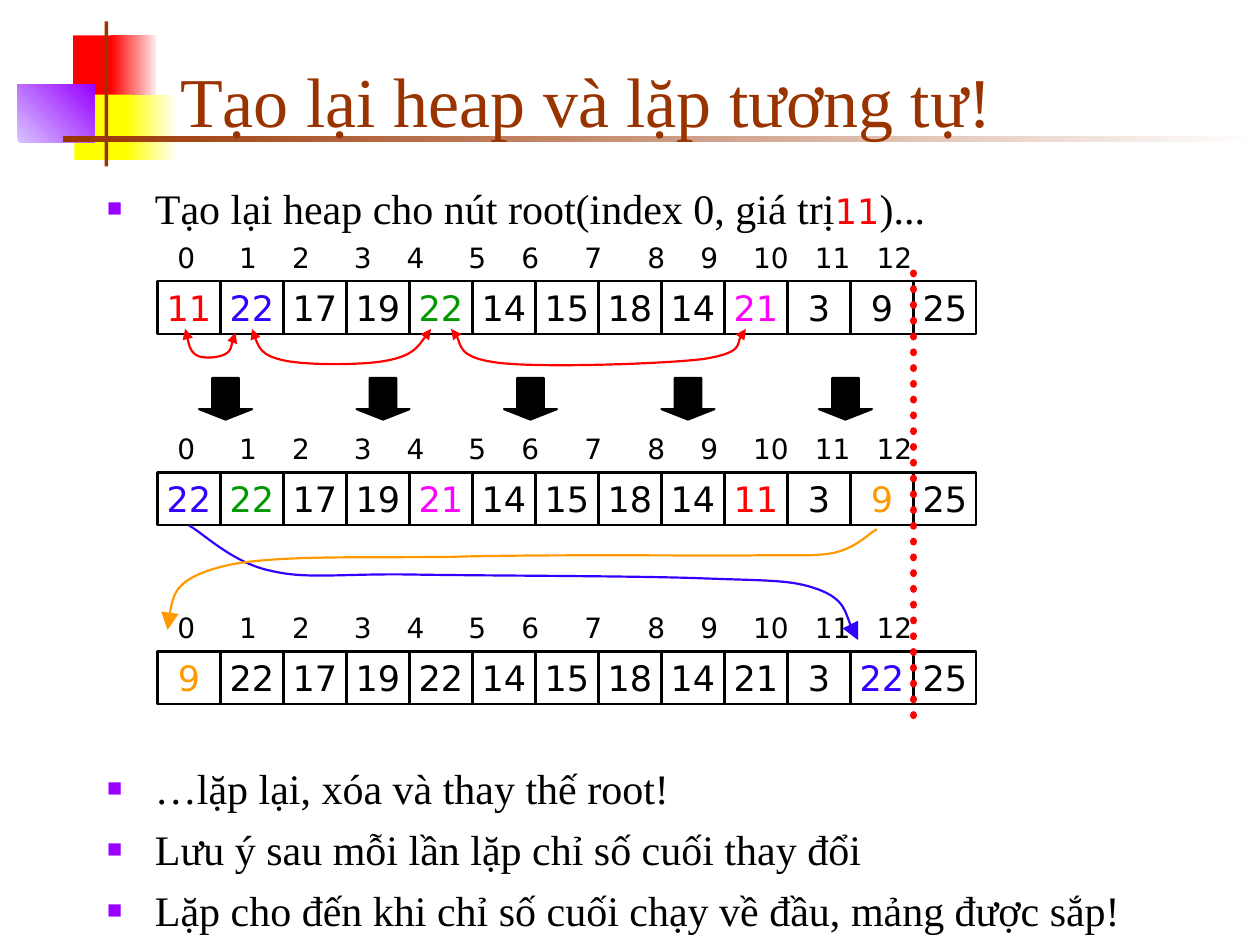
"""Build the slide on restoring a heap and repeating the swap."""
import lxml.etree
import pptx
import pptx.dml.color
import pptx.enum.dml
import pptx.enum.shapes
import pptx.enum.text
import pptx.oxml.ns
import pptx.util

THEME = {
    "serif": "Times New Roman", "sans": "DejaVu Sans",
    "title": 40, "body": 24, "cell": 20, "index": 16, "line": 1.25, "dots": 4.5,
    "brown": "993300", "violet": "9900FF", "lilac": "D8C4FF",
    "yellow": "FFFF00", "cream": "FFFFF8", "blush": "FFEAEA", "white": "FFFFFF",
    "black": "000000", "red": "FF0000", "blue": "3300FF", "green": "009900",
    "pink": "FF00FF", "orange": "FF9900",
}
TITLE = "Tạo lại heap và lặp tương tự!"
INTRO = [[("Tạo lại heap cho nút root(index 0, giá trị", "serif", "body", "black"),
          ("11", "sans", "cell", "red"), (")...", "serif", "body", "black")]]
NOTES = [[(text, "serif", "body", "black")] for text in (
    "…lặp lại, xóa và thay thế root!",
    "Lưu ý sau mỗi lần lặp chỉ số cuối thay đổi",
    "Lặp cho đến khi chỉ số cuối chạy về đầu, mảng được sắp!")]
DECOR = [
    ((0.58, 0.28, 0.35, 0.52), ("red",), 0),
    ((0.88, 0.28, 0.36, 0.52), ("red", "blush"), 0),
    ((0.59, 0.75, 0.46, 0.52), ("yellow",), 0),
    ((1, 0.75, 0.4, 0.52), ("yellow", "cream"), 0),
    ((0.14, 0.67, 0.61, 0.46), ("lilac", "violet"), 45),
    ((0.83, 0.17, 0.03, 1.15), ("brown",), 0),
    ((0.5, 1.08, 9.5, 0.05), ("brown", "white"), 0),
]
BLUE_CURVE = [(1.5, 4.17), (1.61, 4.23), (1.85, 4.47), (2.15, 4.53), (2.44, 4.6),
              (2.71, 4.55), (3.28, 4.56), (3.85, 4.57), (5.04, 4.57), (5.57, 4.59),
              (6.11, 4.61), (6.29, 4.6), (6.5, 4.68), (6.71, 4.76), (6.75, 5), (6.81, 5.08)]
GOLD_CURVE = [(6.96, 4.2), (6.9, 4.23), (6.8, 4.35), (6.61, 4.39), (6.43, 4.42),
              (6.38, 4.4), (5.88, 4.41), (5.37, 4.41), (4.27, 4.4), (3.58, 4.42),
              (2.9, 4.43), (2.12, 4.4), (1.75, 4.5), (1.38, 4.6), (1.35, 4.8), (1.33, 5)]
SWAPS = [
    [(1.47, 2.61), (1.48, 2.64), (1.5, 2.78), (1.56, 2.82), (1.61, 2.85),
     (1.74, 2.84), (1.79, 2.81), (1.84, 2.78), (1.85, 2.67), (1.87, 2.64)],
    [(2, 2.61), (2.03, 2.71), (2.07, 2.82), (2.25, 2.86), (2.43, 2.9),
     (2.89, 2.9), (3.08, 2.86), (3.28, 2.82), (3.35, 2.71), (3.42, 2.61)],
    [(3.58, 2.61), (3.65, 2.65), (3.63, 2.84), (3.96, 2.88), (4.29, 2.92),
     (5.25, 2.89), (5.58, 2.85), (5.9, 2.8), (5.85, 2.66), (5.92, 2.61)],
]
ROWS = [
    (3.75, [22, 22, 17, 19, 21, 14, 15, 18, 14, 11, 3, 9, 25],
     {0: "blue", 1: "green", 4: "pink", 9: "red", 11: "orange"}, []),
    (5.17, [9, 22, 17, 19, 22, 14, 15, 18, 14, 21, 3, 22, 25],
     {0: "orange", 11: "blue"}, [(BLUE_CURVE, "blue"), (GOLD_CURVE, "orange")]),
    (2.23, [11, 22, 17, 19, 22, 14, 15, 18, 14, 21, 3, 9, 25],
     {0: "red", 1: "blue", 4: "green", 9: "pink"}, []),
]
TABS = [0.21, 0.7, 1.12, 1.61, 2.03, 2.52, 2.94, 3.44, 3.94, 4.36, 4.85, 5.34, 5.83]
DROPS = [4, 2.83, 1.58, 5.25, 6.5]

Inches = pptx.util.Inches
Pt = pptx.util.Pt
KIND = pptx.enum.shapes.MSO_SHAPE
ANCHOR = pptx.enum.text.MSO_ANCHOR
ALIGN = pptx.enum.text.PP_ALIGN


def tint(name):
    return pptx.dml.color.RGBColor.from_string(THEME[name])


def apply(thing, form):
    for name, value in form.items():
        setattr(thing, name, value)


def node(parent, tag, **attrs):
    return lxml.etree.SubElement(parent, pptx.oxml.ns.qn("a:" + tag), attrs)


def place(shape, box):
    apply(shape, dict(zip(("left", "top", "width", "height"), map(Inches, box))))


def write(para, text, face, size, color):
    run = para.add_run()
    run.text = text
    apply(run.font, {"name": THEME[face], "size": Pt(THEME[size])})
    run.font.color.rgb = tint(color)


def stroke(shape, color, size="line"):
    apply(shape.line, {"width": Pt(THEME[size])})
    shape.line.color.rgb = tint(color)


def draw(shapes, kind, box):
    shape = shapes.add_shape(kind, *map(Inches, box))
    shape.shadow.inherit = False
    return shape


def deck(shapes, box, colors, angle):
    shape = draw(shapes, KIND.RECTANGLE, box)
    shape.line.fill.background()
    if len(colors) == 1:
        shape.fill.solid()
        shape.fill.fore_color.rgb = tint(colors[0])
        return
    shape.fill.gradient()
    shape.fill.gradient_angle = angle
    for stop, color in zip(shape.fill.gradient_stops, colors):
        stop.color.rgb = tint(color)


def head(shape):
    place(shape, (1.33, 0.25, 8.52, 0.92))
    apply(shape.text_frame, {"vertical_anchor": ANCHOR.BOTTOM, "word_wrap": True,
                             "auto_size": pptx.enum.text.MSO_AUTO_SIZE.NONE})
    para = shape.text_frame.paragraphs[0]
    para.alignment = ALIGN.LEFT
    write(para, TITLE, "serif", "title", "brown")


def points(shape, box, items):
    place(shape, box)
    frame = shape.text_frame
    apply(frame, {"word_wrap": True, "margin_top": Inches(0.09),
                  "auto_size": pptx.enum.text.MSO_AUTO_SIZE.NONE})
    for rank, runs in enumerate(items):
        para = frame.add_paragraph() if rank else frame.paragraphs[0]
        para.space_before = Pt(6 if rank else 0)
        props = para._p.get_or_add_pPr()
        props.set("marL", str(Inches(0.38)))
        props.set("indent", str(-Inches(0.38)))
        node(node(props, "buClr"), "srgbClr", val=THEME["violet"])
        node(props, "buSzPct", val="60000")
        node(props, "buChar", char="■")
        for run in runs:
            write(para, *run)


def curve(shapes, trail, color, ends, size):
    spots = [(Inches(x), Inches(y)) for x, y in trail]
    maker = shapes.build_freeform(*spots[0])
    maker.add_line_segments(spots[1:], close=False)
    shape = maker.convert_to_shape()
    shape.shadow.inherit = False
    shape.fill.background()
    stroke(shape, color)
    steps = list(shape._element.iter(pptx.oxml.ns.qn("a:lnTo")))
    for first in range(0, len(steps), 3):
        bend = node(steps[first].getparent(), "cubicBezTo")
        for step in steps[first:first + 3]:
            bend.append(step[0])
            step.getparent().remove(step)
    for end in ends:
        node(shape.line._get_or_add_ln(), end, type="triangle", w=size, len=size)


def array(shapes, top, values, colors):
    for rank, value in enumerate(values):
        cell = draw(shapes, KIND.RECTANGLE, (1.25 + 0.5 * rank, top, 0.5, 0.42))
        cell.fill.background()
        stroke(cell, "black")
        apply(cell.text_frame, {"word_wrap": False, "vertical_anchor": ANCHOR.MIDDLE})
        para = cell.text_frame.paragraphs[0]
        para.alignment = ALIGN.CENTER
        write(para, str(value), "sans", "cell", colors.get(rank, "black"))
    label = shapes.add_textbox(*map(Inches, (1.17, top - 0.37, 6.92, 0.37)))
    label.text_frame.word_wrap = True
    para = label.text_frame.paragraphs[0]
    stops = node(para._p.get_or_add_pPr(), "tabLst")
    for stop in TABS:
        node(stops, "tab", pos=str(Inches(stop)), algn="ctr")
    write(para, "".join(f"\t{rank}" for rank in range(len(values))), "sans", "index", "black")


def main():
    show = pptx.Presentation()
    apply(show, {"slide_width": Inches(10), "slide_height": Inches(7.5)})
    slide = show.slides.add_slide(show.slide_layouts[3])
    shapes = slide.shapes
    holds = list(slide.placeholders)
    for item in DECOR:
        deck(shapes, *item)
    for hold in holds:
        shapes._spTree.append(hold._element)
    head(holds[0])
    points(holds[1], (0.75, 1.36, 8.58, 1.5), INTRO)
    points(holds[2], (0.75, 5.96, 8.5, 1.38), NOTES)
    for top, values, colors, trails in ROWS:
        group = shapes.add_group_shape().shapes
        array(group, top, values, colors)
        for trail, color in trails:
            curve(group, trail, color, ["tailEnd"], "lg")
    group = shapes.add_group_shape().shapes
    for left in DROPS:
        drop = draw(group, KIND.DOWN_ARROW, (left, 3, 0.42, 0.33))
        drop.adjustments[0], drop.adjustments[1] = 0.5, 0.25
        drop.fill.solid()
        drop.fill.fore_color.rgb = tint("black")
        stroke(drop, "black")
    bound = shapes.add_connector(pptx.enum.shapes.MSO_CONNECTOR.STRAIGHT,
                                 *map(Inches, (7.25, 2.17, 7.25, 5.75)))
    stroke(bound, "red", "dots")
    bound.line.dash_style = pptx.enum.dml.MSO_LINE.ROUND_DOT
    bound.line._get_or_add_ln().set("cap", "rnd")
    node(bound._element.spPr, "effectLst")
    for trail in SWAPS:
        curve(shapes, trail, "red", ["headEnd", "tailEnd"], "med")
    show.save("out.pptx")


if __name__ == "__main__":
    main()
